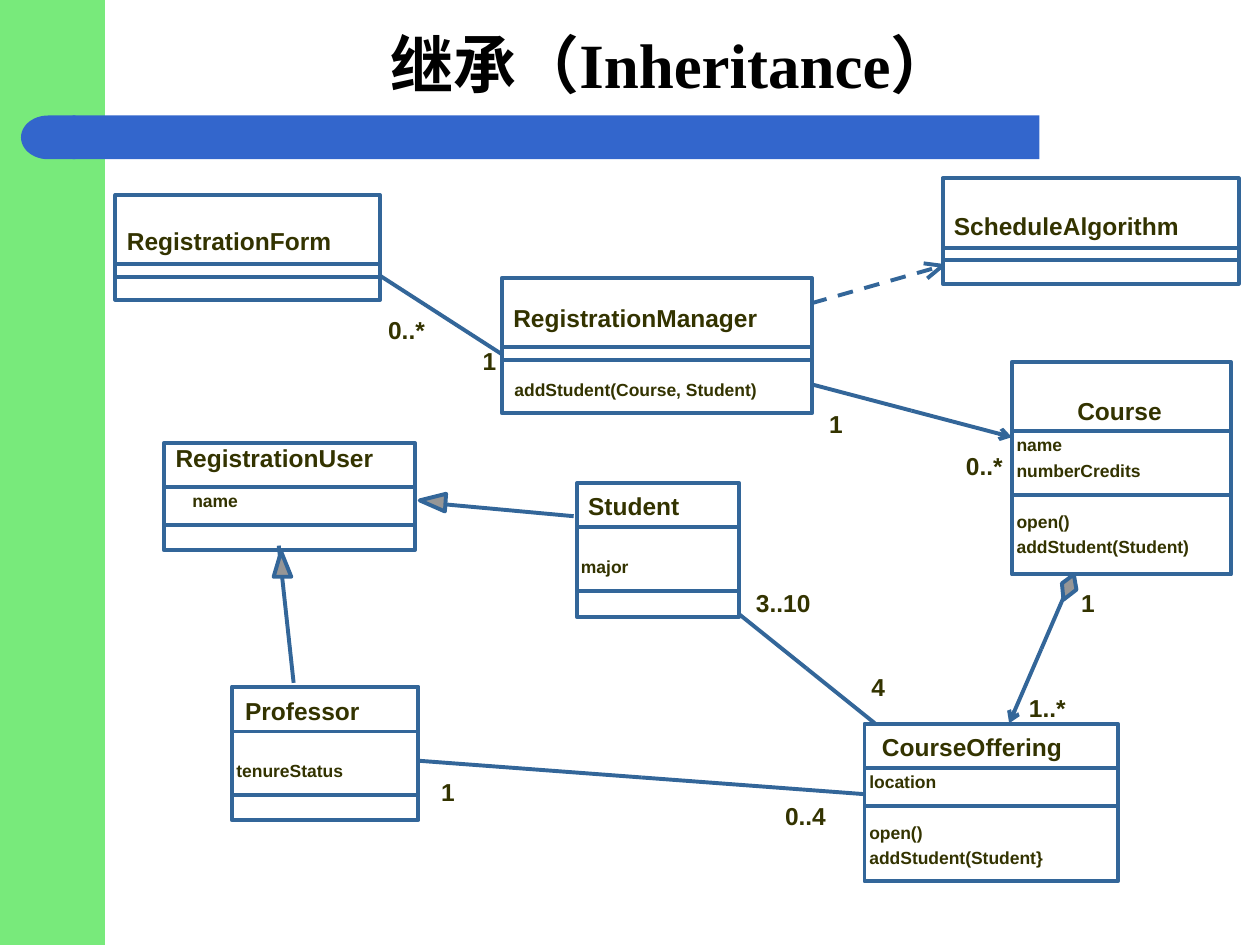
import pptx
import pptx.util
import pptx.dml.color
import pptx.enum.dml
import pptx.enum.shapes
import pptx.enum.text
import pptx.oxml
import pptx.oxml.ns
import lxml.etree

Pt = pptx.util.Pt
SHAPE = pptx.enum.shapes.MSO_SHAPE
COLORS = {"side": "78EA7B", "bar": "3366CC", "line": "336699",
          "text": "333300", "title": "000000", "tip": "969696"}
LABEL = {"name": "Arial", "size": Pt(14), "bold": True}
MEMBER = {"name": "Arial", "size": Pt(10), "bold": True}
TITLE = {"name": "Times New Roman", "size": Pt(36), "bold": True}
FRAME = {"margin_left": 0, "margin_right": 0, "margin_top": 0, "margin_bottom": 0,
         "word_wrap": False, "auto_size": pptx.enum.text.MSO_AUTO_SIZE.NONE}
SLACK = 2

CLASSES = [
    ((66, 111.4, 151.2, 60), ("RegistrationForm", 6.5, 17.8, 117.4), (39.6, 46.8), []),
    ((286.8, 158.8, 177.1, 77.4), ("RegistrationManager", 6.5, 14.4, 139.7), (39.6, 46.8),
     [("addStudent(Course, Student)", 7.2, 58, 138.2)]),
    ((538.6, 101.9, 169.2, 60.2), ("ScheduleAlgorithm", 6.5, 18.9, 128.9), (39.6, 46.8), []),
    ((578.2, 206.8, 125.3, 121.5), ("Course", 37.4, 19.3, 48.2), (39.6, 76.3),
     [("name", 2.7, 41.4, 25.9), ("numberCredits", 2.7, 56, 70.6),
      ("open()", 2.7, 85.2, 30.2), ("addStudent(Student)", 2.7, 99.7, 98.6)]),
    ((329.6, 276.2, 92.9, 76.3), ("Student", 6.5, 4.5, 52.6), (25, 61.4),
     [("major", 2.4, 41.3, 27.4)]),
    ((494, 413.5, 144.7, 90.2), ("CourseOffering", 10, 4.8, 103), (25.2, 47.3),
     [("location", 2.8, 27.2, 38.2), ("open()", 2.8, 56, 30.2),
      ("addStudent(Student}", 2.8, 70.4, 99.4)]),
    ((132.5, 392.4, 106.6, 76.3), ("Professor", 7.5, 5.3, 65.5), (25.6, 61.9),
     [("tenureStatus", 2.6, 41.8, 61.2)]),
    ((93.6, 253.2, 143.5, 61.2), ("RegistrationUser", 6.7, 0.2, 113), (25, 47),
     [("name", 16.3, 26.8, 25.9)]),
]
MULTIPLICITIES = [
    ("1", 275.8, 198, 7.9), ("0..*", 221.8, 180, 20.9), ("0..*", 552, 257.8, 20.9),
    ("1", 473.8, 234, 7.9), ("1", 617.8, 336.2, 7.9), ("1..*", 588, 396, 20.9),
    ("4", 498, 383.8, 7.9), ("3..10", 432, 336.2, 31), ("0..4", 448.6, 457.9, 23.8),
    ("1", 252, 444.2, 7.9),
]
LINKS = [
    ((286.6, 202.3), (217.4, 157.7), {}),
    ((463.7, 173.3), (538.6, 151.9), {"dash": True}),
    ((538.6, 151.9), (529.9, 159.1), {}),
    ((538.6, 151.9), (527.8, 150.5), {}),
    ((167.8, 390.2), (159.3, 311.8), {}),
    ((327.8, 295), (252, 288), {}),
]
ASSOCIATIONS = [
    ((463.7, 219.6), (578.2, 249.8), True),
    ((421.9, 350.6), (499.9, 413.3), False),
    ((239, 434.7), (493.9, 453.8), False),
    ((613.4, 328.3), (576.7, 413.3), True),
]
TIPS = [
    [(613.6, 328.3), (615.1, 337), (607.7, 342.7), (606.8, 333.4)],
    [(160.7, 315.2), (166.5, 329.6), (156.4, 329.6)],
    [(239.8, 286), (254.9, 282.2), (254.2, 292.3)],
]


def rgb(key):
    """Return the colour named in the palette."""
    return pptx.dml.color.RGBColor.from_string(COLORS[key])


def set_attrs(obj, values):
    """Set attributes from a dict."""
    for key, value in values.items():
        setattr(obj, key, value)


def paint(sp, fill=None, line=None):
    """Give a shape its fill and outline."""
    sp.shadow.inherit = False
    if fill:
        sp.fill.solid()
        sp.fill.fore_color.rgb = rgb(fill)
    else:
        sp.fill.background()
    if line:
        sp.line.color.rgb = rgb(line)
        sp.line.width = Pt(2.25)
    else:
        sp.line.fill.background()


def add_box(s, box, kind=SHAPE.RECTANGLE, fill=None, line=None):
    """Add a preset shape in a box."""
    sp = s.shapes.add_shape(kind, *map(Pt, box))
    paint(sp, fill, line)
    return sp


def add_label(s, text, x, y, w, font=LABEL):
    """Add one line of text."""
    height = int(font["size"] * 1.17)
    tf = s.shapes.add_textbox(Pt(x), Pt(y), Pt(w + SLACK), height).text_frame
    set_attrs(tf, FRAME)
    r = tf.paragraphs[0].add_run()
    r.text = text
    set_attrs(r.font, font)
    r.font.color.rgb = rgb("text")


def add_link(s, start, end, arrow=False, dash=False):
    """Add a line with an optional arrowhead or dash."""
    cn = s.shapes.add_connector(pptx.enum.shapes.MSO_CONNECTOR.STRAIGHT,
                                *map(Pt, start + end))
    cn.line.color.rgb = rgb("line")
    cn.line.width = Pt(2.25)
    if dash:
        cn.line.dash_style = pptx.enum.dml.MSO_LINE.DASH
    qn = pptx.oxml.ns.qn
    sppr = cn._element.spPr
    if arrow:
        lxml.etree.SubElement(sppr.find(qn("a:ln")), qn("a:tailEnd"), type="arrow")
    lxml.etree.SubElement(sppr, qn("a:effectLst"))


def add_association(s, start, end, arrow):
    """Draw an association as two halves from its middle."""
    middle = tuple((a + b) / 2 for a, b in zip(start, end))
    add_link(s, middle, end, arrow=arrow)
    add_link(s, middle, start)


def add_tip(s, points):
    """Add a filled diamond or triangle at the end of a link."""
    first, *rest = [tuple(map(Pt, point)) for point in points]
    fb = s.shapes.build_freeform(*first)
    fb.add_line_segments(rest, close=True)
    paint(fb.convert_to_shape(), "tip", "line")


def add_class(s, box, name, dividers, members):
    """Draw a class box with its name, dividers and members."""
    x, y, w, h = box
    add_box(s, box, line="line")
    for dy in dividers:
        add_link(s, (x, y + dy), (x + w, y + dy))
    for font, rows in ((LABEL, [name]), (MEMBER, members)):
        for text, dx, dy, width in rows:
            add_label(s, text, x + dx, y + dy, width, font)


def add_banner(s, box):
    """Draw the bar with its rounded left end."""
    x, y, w, h = box
    add_box(s, (x + 29.5, y, w - 29.5, h), fill="bar")
    cap = add_box(s, (x, y, 31, h), SHAPE.FLOWCHART_DELAY, "bar")
    cap.rotation = 180


def add_title(s, text, box):
    """Place and format the title placeholder."""
    sp = s.shapes.title
    set_attrs(sp, dict(zip(("left", "top", "width", "height"), map(Pt, box))))
    tf = sp.text_frame
    tf.vertical_anchor = pptx.enum.text.MSO_ANCHOR.MIDDLE
    p = tf.paragraphs[0]
    p.alignment = pptx.enum.text.PP_ALIGN.CENTER
    r = p.add_run()
    r.text = text
    set_attrs(r.font, TITLE)
    r.font.color.rgb = rgb("title")


def main():
    """Build the inheritance slide."""
    prs = pptx.Presentation()
    prs.slide_width, prs.slide_height = Pt(720), Pt(540)
    s = prs.slides.add_slide(prs.slide_layouts[5])
    add_box(s, (0, 0, 60, 540), fill="side")
    add_banner(s, (12, 66, 582, 25))
    add_title(s, "继承（Inheritance）", (66, 12, 636, 48))
    for label in MULTIPLICITIES:
        add_label(s, *label)
    for item in CLASSES:
        add_class(s, *item)
    for start, end, style in LINKS:
        add_link(s, start, end, **style)
    for association in ASSOCIATIONS:
        add_association(s, *association)
    for points in TIPS:
        add_tip(s, points)
    prs.save("out.pptx")


if __name__ == "__main__":
    main()
